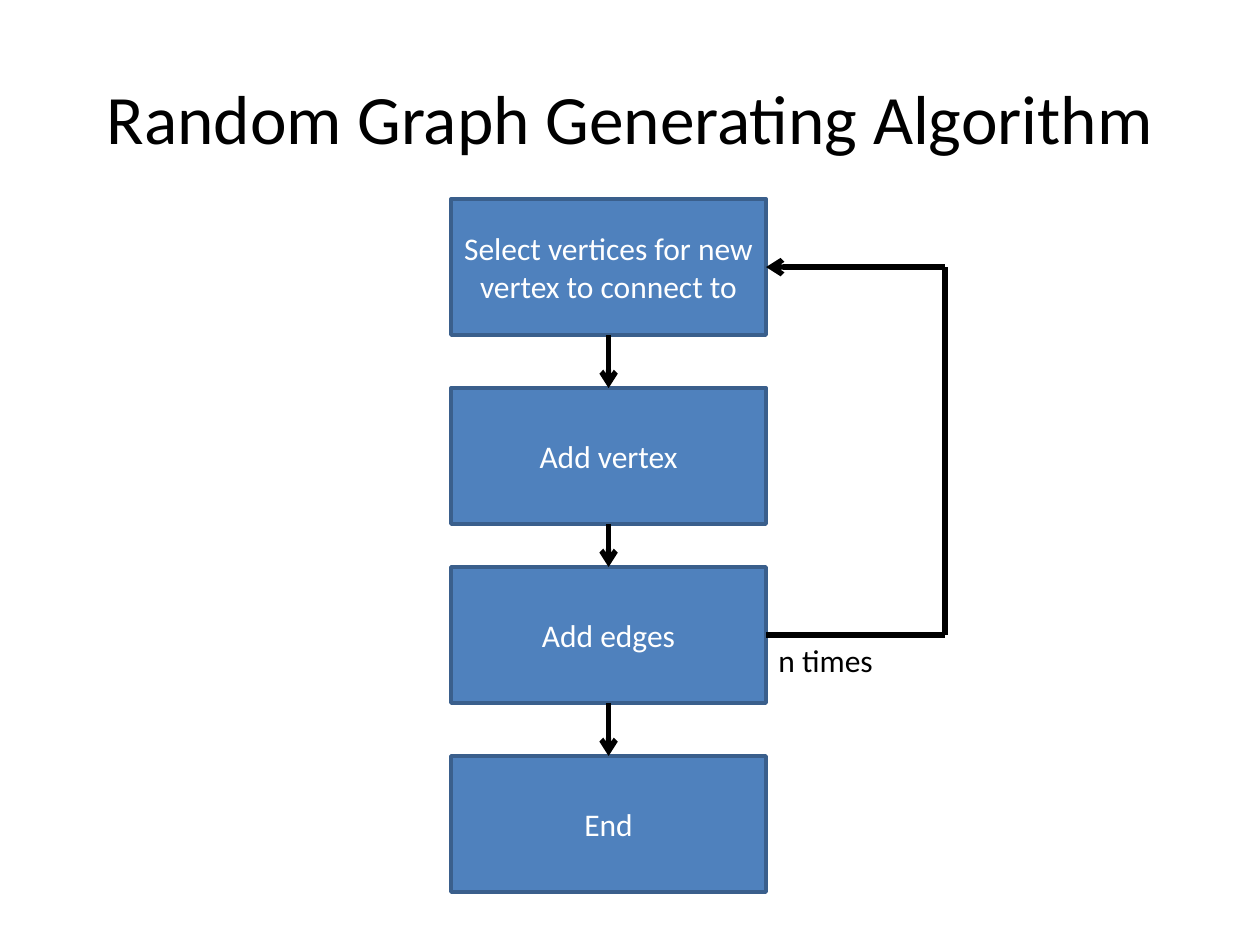
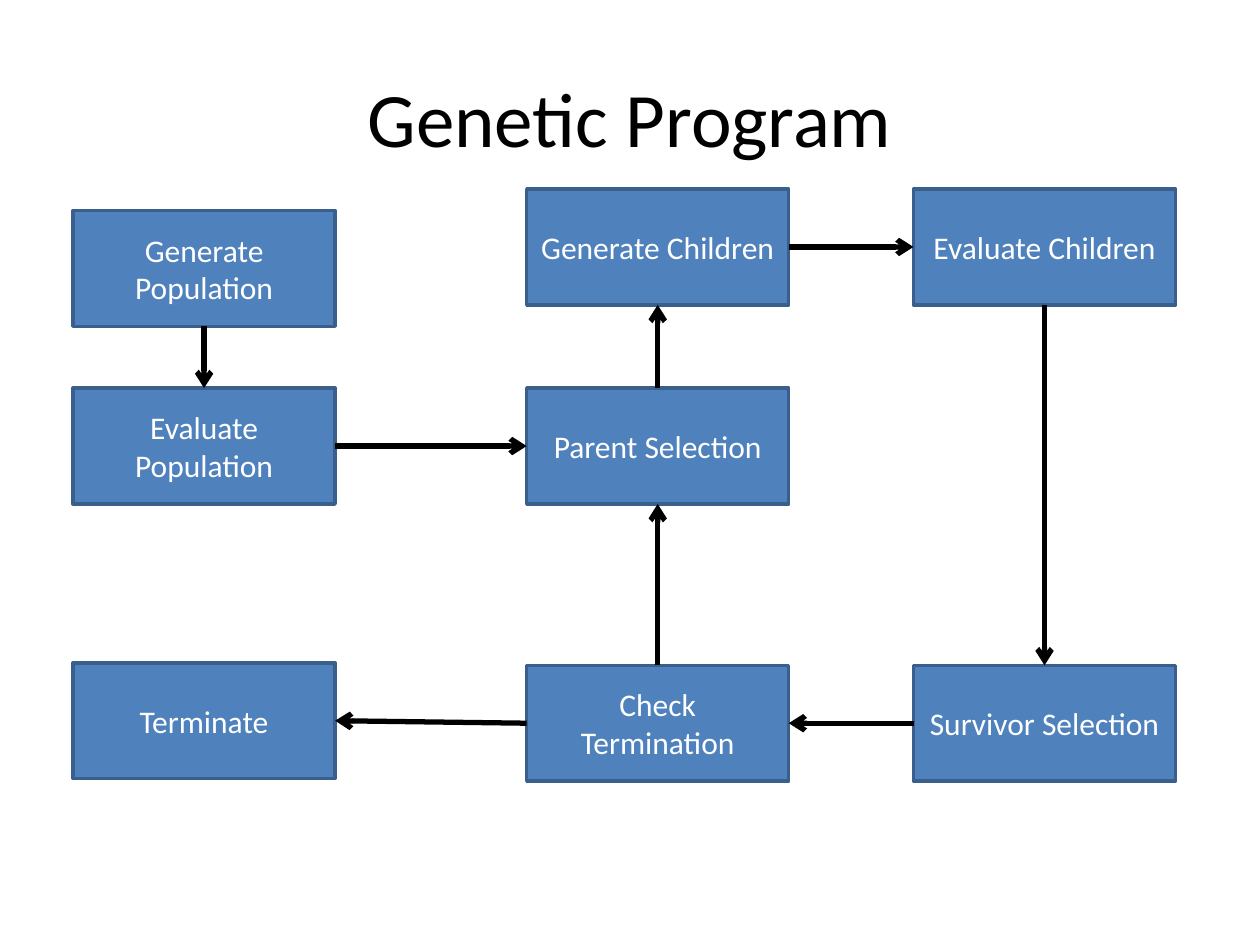
from dataclasses import dataclass

from lxml import etree
from pptx import Presentation
from pptx.dml.color import RGBColor
from pptx.enum import shapes, text
from pptx.oxml import ns
from pptx.util import Inches, Pt

# Connection sites of a rectangle
TOP, LEFT, BOTTOM, RIGHT = range(4)


@dataclass(frozen=True)
class Theme:
    font: str = "Calibri"
    ink: RGBColor = RGBColor(0x00, 0x00, 0x00)
    box_fill: RGBColor = RGBColor(0x4F, 0x81, 0xBD)
    box_line: RGBColor = RGBColor(0x3A, 0x5F, 0x8C)
    box_text: RGBColor = RGBColor(0xFF, 0xFF, 0xFF)
    title_size: float = 44
    long_title_size: float = 39.6
    text_size: float = 18
    box_line_width: float = 2
    arrow_width: float = 3


class FlowDeck:
    """Holds the theme and the slide being drawn; lengths are in inches."""

    def __init__(self, theme):
        self.theme = theme
        self.prs = Presentation()
        self.prs.slide_width, self.prs.slide_height = Inches(10), Inches(7.5)
        self.s = None

    def style(self, p, size, color):
        p.font.name = self.theme.font
        p.font.size = Pt(size)
        p.font.color.rgb = color

    def slide(self, title, size):
        self.s = self.prs.slides.add_slide(self.prs.slide_layouts[5])
        sp = self.s.shapes.title
        sp.left, sp.top = Inches(0.5), Inches(0.3)
        sp.width, sp.height = Inches(9), Inches(1.25)
        tf = sp.text_frame
        tf.text = title
        tf.vertical_anchor = text.MSO_ANCHOR.MIDDLE
        p = tf.paragraphs[0]
        p.alignment = text.PP_ALIGN.CENTER
        self.style(p, size, self.theme.ink)

    def box(self, label, x, y, w, h):
        t = self.theme
        sp = self.s.shapes.add_shape(shapes.MSO_SHAPE.RECTANGLE,
                                     Inches(x), Inches(y), Inches(w), Inches(h))
        sp.shadow.inherit = False
        sp.fill.solid()
        sp.fill.fore_color.rgb = t.box_fill
        sp.line.color.rgb = t.box_line
        sp.line.width = Pt(t.box_line_width)
        tf = sp.text_frame
        tf.word_wrap = True
        tf.vertical_anchor = text.MSO_ANCHOR.MIDDLE
        tf.text = label
        p = tf.paragraphs[0]
        p.alignment = text.PP_ALIGN.CENTER
        self.style(p, t.text_size, t.box_text)
        return sp

    def label(self, words, x, y, w, h):
        sp = self.s.shapes.add_textbox(Inches(x), Inches(y), Inches(w), Inches(h))
        tf = sp.text_frame
        tf.word_wrap = True
        tf.auto_size = text.MSO_AUTO_SIZE.SHAPE_TO_FIT_TEXT
        tf.text = words
        self.style(tf.paragraphs[0], self.theme.text_size, self.theme.ink)

    def line(self, start, end, arrow=False):
        """Join two ends, each a point (x, y) or a (box, site) pair."""
        c = self.s.shapes.add_connector(shapes.MSO_CONNECTOR.STRAIGHT, 0, 0, 0, 0)
        c.line.color.rgb = self.theme.ink
        c.line.width = Pt(self.theme.arrow_width)
        if arrow:
            etree.SubElement(c.line._get_or_add_ln(), ns.qn("a:tailEnd"), type="arrow")
        etree.SubElement(c._element.spPr, ns.qn("a:effectLst"))
        if isinstance(start[0], (int, float)):
            c.begin_x, c.begin_y = map(Inches, start)
        else:
            c.begin_connect(*start)
        if isinstance(end[0], (int, float)):
            c.end_x, c.end_y = map(Inches, end)
        else:
            c.end_connect(*end)


def random_graph_slide(deck):
    deck.slide("Random Graph Generating Algorithm", deck.theme.long_title_size)
    x, w, h = 3.58, 2.5, 1.08
    steps = [("Select vertices for new vertex to connect to", 1.58),
             ("Add vertex", 3.08), ("Add edges", 4.5), ("End", 6)]
    boxes = [deck.box(label, x, y, w, h) for label, y in steps]
    for upper, lower in zip(boxes, boxes[1:]):
        deck.line((upper, BOTTOM), (lower, TOP), arrow=True)

    select, _, edges, _ = boxes
    loop_x, loop_top, loop_bottom = 7.5, 2.12, 5.04
    deck.line((edges, RIGHT), (loop_x, loop_bottom))
    deck.line((loop_x, loop_bottom), (loop_x, loop_top))
    deck.line((loop_x, loop_top), (select, RIGHT), arrow=True)
    deck.label("n times", x + w, loop_bottom, 2.08, 0.4)


def genetic_program_slide(deck):
    deck.slide("Genetic Program", deck.theme.title_size)
    left, middle, right = 0.58, 4.18, 7.25
    top, center, bottom = 1.5, 3.08, 5.28
    places = {
        "Generate Population": (left, 1.67),
        "Evaluate Population": (left, center),
        "Parent Selection": (middle, center),
        "Generate Children": (middle, top),
        "Evaluate Children": (right, top),
        "Survivor Selection": (right, bottom),
        "Check Termination": (middle, bottom),
        "Terminate": (left, 5.26),
    }
    boxes = {label: deck.box(label, x, y, 2.08, 0.92)
             for label, (x, y) in places.items()}
    flows = [
        ("Generate Population", BOTTOM, "Evaluate Population", TOP),
        ("Evaluate Population", RIGHT, "Parent Selection", LEFT),
        ("Parent Selection", TOP, "Generate Children", BOTTOM),
        ("Generate Children", RIGHT, "Evaluate Children", LEFT),
        ("Evaluate Children", BOTTOM, "Survivor Selection", TOP),
        ("Survivor Selection", LEFT, "Check Termination", RIGHT),
        ("Check Termination", TOP, "Parent Selection", BOTTOM),
        ("Check Termination", LEFT, "Terminate", RIGHT),
    ]
    for source, exit_site, target, entry_site in flows:
        deck.line((boxes[source], exit_site), (boxes[target], entry_site), arrow=True)


def main():
    deck = FlowDeck(Theme())
    random_graph_slide(deck)
    genetic_program_slide(deck)
    deck.prs.save("out.pptx")


if __name__ == "__main__":
    main()
